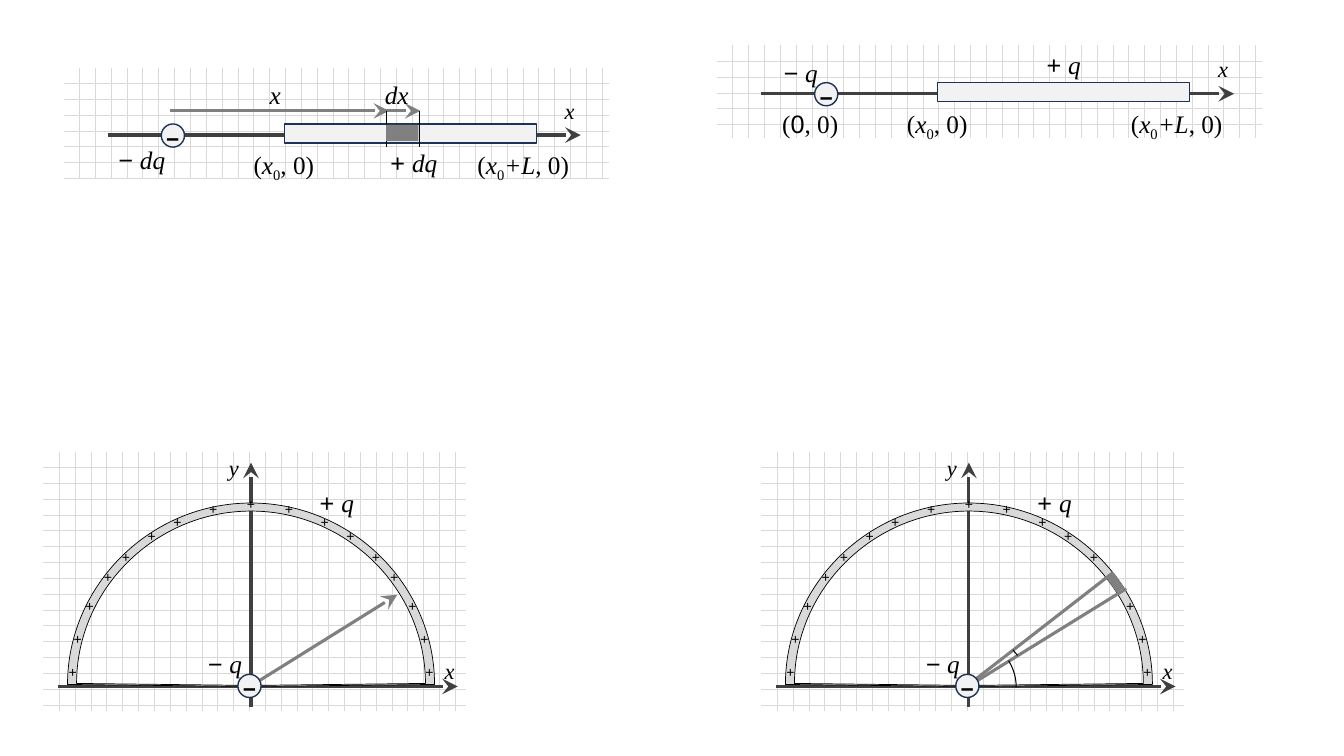
from lxml.etree import SubElement
from pptx import Presentation
from pptx.dml.color import RGBColor
from pptx.enum.dml import MSO_PATTERN as Pat
from pptx.enum.shapes import MSO_CONNECTOR as Conn, MSO_SHAPE as Geo
from pptx.enum.text import MSO_ANCHOR as Anchor, MSO_AUTO_SIZE as Fit, PP_ALIGN as Align
from pptx.oxml.ns import qn
from pptx.util import Inches, Pt

INK, AXIS, GRAY, EDGE = "000000", "404040", "808080", "1E3256"
PALE, BAND = "F2F2F2", "D9D9D9"
SERIF, SANS = "Times New Roman", "Arial"
# Run styles: s = sans, i = italic, b = bold, d = subscript, u = raised
MINUS_Q = [("− ", "si"), ("q", "i")]
PLUS_Q = [("+ ", "s"), ("q", "i")]
START = [("(", ""), ("x", "i"), ("0", "d"), (", 0)", "")]
END = [("(", ""), ("x", "i"), ("0", "d"), ("+L", "i"), (", 0)", "")]
# Plus signs on one half of the arch: distance from its middle, top below the grid's top
SIGNS = [(0.375, 0.49), (0.73, 0.61), (0.985, 0.75), (1.24, 0.96),
         (1.42, 1.16), (1.6, 1.45), (1.72, 1.77), (1.77, 2.1)]


def rgb(code):
    return RGBColor.from_string(code)


def write(frame, runs, size):
    para = frame.paragraphs[0]
    para.alignment = Align.CENTER
    for text, style in runs:
        run = para.add_run()
        run.text = text
        font = run.font
        font.name = SANS if "s" in style else SERIF
        font.size = Pt(size)
        font.italic = "i" in style
        font.bold = "b" in style
        font.color.rgb = rgb(INK)
        for key, shift in (("d", "-25000"), ("u", "30000")):
            if key in style:
                run._r.get_or_add_rPr().set("baseline", shift)


def pad(frame, top=0):
    frame.margin_left = frame.margin_right = frame.margin_bottom = 0
    frame.margin_top = Inches(top)
    frame.word_wrap = False


def label(shapes, x, y, w, runs, size=18):
    box = shapes.add_textbox(Inches(x), Inches(y), Inches(w), Inches(size / 60))
    pad(box.text_frame)
    box.text_frame.auto_size = Fit.SHAPE_TO_FIT_TEXT
    write(box.text_frame, runs, size)


def paint(item, fill=None, line=None, width=1):
    item.shadow.inherit = False
    if fill:
        item.fill.solid()
        item.fill.fore_color.rgb = rgb(fill)
    else:
        item.fill.background()
    if line:
        item.line.color.rgb = rgb(line)
        item.line.width = Pt(width)
    else:
        item.line.fill.background()


def shape(shapes, geo, x, y, w, h, *look):
    item = shapes.add_shape(geo, Inches(x), Inches(y), Inches(w), Inches(h))
    paint(item, *look)
    return item


def line(shapes, x1, y1, x2, y2, color, width=2.25, head=True):
    item = shapes.add_connector(Conn.STRAIGHT, Inches(x1), Inches(y1), Inches(x2), Inches(y2))
    item.line.color.rgb = rgb(color)
    item.line.width = Pt(width)
    props = item._element.spPr
    if head:
        SubElement(props.find(qn("a:ln")), qn("a:tailEnd"), type="stealth", w="lg", len="lg")
    SubElement(props, qn("a:effectLst"))


def grid(shapes, x, y, w, h):
    fill = shape(shapes, Geo.RECTANGLE, x, y, w, h).fill
    fill.patterned()
    fill.pattern = Pat.DOTTED_GRID
    fill.fore_color.rgb = rgb(BAND)
    fill.back_color.rgb = rgb("FFFFFF")


def charge(shapes, x, y):
    ball = shape(shapes, Geo.OVAL, x, y, 0.23, 0.23, PALE, EDGE)
    pad(ball.text_frame, 0.16)
    ball.text_frame.vertical_anchor = Anchor.MIDDLE
    write(ball.text_frame, [("−", "sbu")], 28)


def rod(shapes, x, y, h, drop):
    """Draw a charged rod on an axis that lies drop below the grid's top."""
    mid = y + drop
    grid(shapes, x, y, 5.41, h)
    label(shapes, x + 4.94, mid - 0.38, 0.16, [("x", "i")], 16)
    line(shapes, x + 0.44, mid, x + 5.13, mid, AXIS)
    charge(shapes, x + 0.97, mid - 0.11)
    shape(shapes, Geo.RECTANGLE, x + 2.19, mid - 0.11, 2.5, 0.19, PALE, EDGE)
    label(shapes, x + 1.84, mid + 0.14, 0.69, START)
    label(shapes, x + 4.03, mid + 0.14, 1.06, END)


def whole(shapes, x, y):
    rod(shapes, x, y, 0.92, 0.48)
    label(shapes, x + 0.63, y + 0.12, 0.4, MINUS_Q)
    label(shapes, x + 0.58, y + 0.62, 0.69, [("(", ""), ("0", "s"), (", 0)", "")])
    label(shapes, x + 3.24, y + 0.04, 0.4, PLUS_Q)


def slice_rod(shapes, x, y):
    """Draw the rod with one small piece of length dx marked."""
    rod(shapes, x, y, 1.11, 0.67)
    label(shapes, x + 0.52, y + 0.76, 0.51, [("− ", "si"), ("dq", "i")])
    label(shapes, x + 3.23, y + 0.79, 0.49, [("+ ", "s"), ("dq", "i")])
    for left, right in ((1.06, 3.23), (3.2, 3.54)):
        line(shapes, x + left, y + 0.43, x + right, y + 0.43, GRAY)
    for side in (3.2, 3.53):
        line(shapes, x + side, y + 0.43, x + side, y + 0.79, INK, 0.75, False)
    shape(shapes, Geo.RECTANGLE, x + 3.2, y + 0.57, 0.32, 0.16, GRAY)
    label(shapes, x + 2, y + 0.12, 0.2, [("x", "i")])
    label(shapes, x + 3.17, y + 0.12, 0.27, [("dx", "i")])


def bow(x, y, r):
    """Return a half circle from its top: left curve, centre, right curve."""
    near, top, end = 0.55 * r, y - r, y - 0.02
    pts = [(x, top), (x - near, top), (x - r, y - near), (x - r, end), (x, y),
           (x + r, end), (x + r, y - near), (x + near, top), (x, top)]
    return [(Inches(a), Inches(b)) for a, b in pts]


def bend(steps):
    """Turn three straight steps into one Bézier curve."""
    curve = steps[0].getparent().makeelement(qn("a:cubicBezTo"))
    steps[0].addprevious(curve)
    for step in steps:
        curve.append(step[0])
        step.getparent().remove(step)


def band(shapes, x, y):
    inner, outer = bow(x, y - 0.01, 1.73), bow(x, y, 1.82)
    form = shapes.build_freeform(*inner[0], scale=1.0)
    form.add_line_segments(inner[1:], close=True)
    form.move_to(*outer[0])
    form.add_line_segments(outer[1:], close=True)
    item = form.convert_to_shape()
    steps = list(item._element.iter(qn("a:lnTo")))
    for first in (0, 5, 8, 13):
        bend(steps[first:first + 3])
    paint(item, BAND, INK, 0.5)


def arch(shapes, x, y):
    mid, base = x + 2.06, y + 2.33
    plus = [("+", "s")]
    grid(shapes, x, y, 4.19, 2.57)
    line(shapes, x + 0.15, base, x + 4.11, base, AXIS)
    line(shapes, mid, y + 2.53, mid, y + 0.11, AXIS)
    band(shapes, mid, base)
    label(shapes, x + 1.6, y + 1.95, 0.4, MINUS_Q)
    label(shapes, x + 2.71, y + 0.35, 0.4, PLUS_Q)
    label(shapes, mid - 0.07, y + 0.44, 0.14, plus, 10)
    for side in (-1, 1):
        half = shapes.add_group_shape().shapes
        for gap, drop in SIGNS:
            label(half, mid + side * gap - 0.07, y + drop, 0.14, plus, 10)
    label(shapes, x + 3.95, y + 2.04, 0.16, [("x", "i")], 16)
    label(shapes, x + 1.81, y + 0.03, 0.16, [("y", "i")], 16)


def radius(shapes, x, y):
    arch(shapes, x, y)
    line(shapes, x + 2.05, y + 2.33, x + 3.51, y + 1.42, GRAY)
    charge(shapes, x + 1.93, y + 2.21)


def wedge(shapes, x, y):
    arch(shapes, x, y)
    line(shapes, x + 2.05, y + 2.33, x + 3.62, y + 1.36, GRAY, head=False)
    line(shapes, x + 2.06, y + 2.31, x + 3.49, y + 1.2, GRAY, head=False)
    for left, top, first, last in ((1.53, 1.84, 196.84, 0), (1.64, 1.82, 189.4, 194.17)):
        arc = shape(shapes, Geo.ARC, x + left, y + top, 1, 1, None, INK, 0.75)
        arc.adjustments[0], arc.adjustments[1] = first, last
    shape(shapes, Geo.RECTANGLE, x + 3.43, y + 1.26, 0.17, 0.09, GRAY).rotation = 55.1
    charge(shapes, x + 1.93, y + 2.21)


def main():
    deck = Presentation()
    deck.slide_width, deck.slide_height = Inches(13.33), Inches(7.5)
    shapes = deck.slides.add_slide(deck.slide_layouts[6]).shapes
    radius(shapes, 0.43, 4.48)
    whole(shapes, 7.11, 0.45)
    wedge(shapes, 7.55, 4.48)
    slice_rod(shapes, 0.63, 0.67)
    deck.save("out.pptx")


if __name__ == "__main__":
    main()
